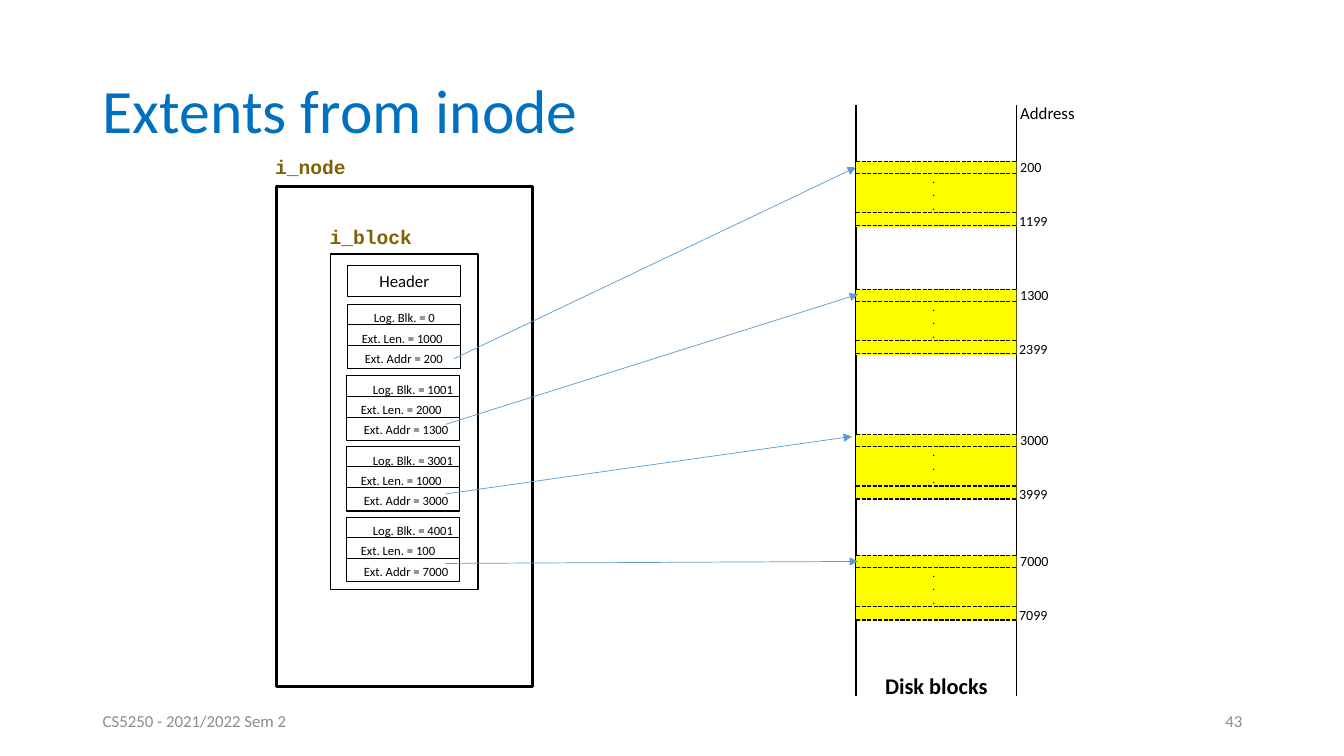
from pptx import Presentation
from pptx.dml.color import RGBColor
from pptx.enum.dml import MSO_LINE
from pptx.enum.shapes import MSO_CONNECTOR, MSO_SHAPE
from pptx.enum.text import MSO_ANCHOR, MSO_AUTO_SIZE, PP_ALIGN
from pptx.oxml.ns import qn
from pptx.util import Inches, Pt
from lxml import etree

STRAIGHT = MSO_CONNECTOR.STRAIGHT
RECTANGLE = MSO_SHAPE.RECTANGLE
DASH = MSO_LINE.SQUARE_DOT
MIDDLE = MSO_ANCHOR.MIDDLE
TOP = MSO_ANCHOR.TOP
GROW = MSO_AUTO_SIZE.SHAPE_TO_FIT_TEXT
FIXED = MSO_AUTO_SIZE.NONE
LEFT, CENTER, RIGHT = PP_ALIGN.LEFT, PP_ALIGN.CENTER, PP_ALIGN.RIGHT

BLACK, WHITE, YELLOW = "000000", "FFFFFF", "FFFF00"
BLUE, GRAY, BROWN, ARROW_BLUE = "0070C0", "8C8C8C", "806000", "5B9BD5"
BODY, CODE = "Calibri", "Courier New"

DISK_LEFT, DISK_RIGHT = 8.49, 10.08

EXTENTS = [
    (3.45, 3.02, 0, 1000, 200),
    (3.44, 3.73, 1001, 2000, 1300),
    (3.44, 4.43, 3001, 1000, 3000),
    (3.44, 5.13, 4001, 100, 7000),
]
FIELDS = [
    ("Log. Blk. = ", 0.16, 0.79),
    ("Ext. Len. = ", 0.04, 0.78),
    ("Ext. Addr = ", 0.07, 0.81),
]
DISK_RUNS = [
    (1.60, 200, 1199),
    (2.87, 1300, 2399),
    (4.31, 3000, 3999),
    (5.51, 7000, 7099),
]
POINTERS = [
    (4.50, 3.56, 8.49, 1.66),
    (4.42, 4.21, 8.51, 2.92),
    (4.42, 4.90, 8.45, 4.33),
    (4.42, 5.59, 8.51, 5.57),
]


def paint(color_format, color):
    color_format.rgb = RGBColor.from_string(color)


def write(frame, lines, size, color=BLACK, font=BODY, bold=False, align=LEFT):
    for index, line in enumerate(lines):
        para = frame.add_paragraph() if index else frame.paragraphs[0]
        para.alignment = align
        span = para.add_run()
        span.text = line
        span.font.size = Pt(size)
        span.font.name = font
        span.font.bold = bold
        paint(span.font.color, color)


def add_label(shapes, left, top, width, height, lines, size, **style):
    box = shapes.add_textbox(Inches(left), Inches(top), Inches(width), Inches(height))
    box.text_frame.word_wrap = False
    box.text_frame.auto_size = GROW
    box.text_frame.vertical_anchor = TOP
    write(box.text_frame, lines, size, **style)


def add_footer(shapes, left, line, align):
    box = shapes.add_textbox(Inches(left), Inches(6.95), Inches(3), Inches(0.4))
    box.text_frame.word_wrap = True
    box.text_frame.vertical_anchor = MIDDLE
    write(box.text_frame, [line], 12, color=GRAY, align=align)


def add_box(shapes, left, top, width, height, fill=WHITE, line_width=None):
    box = shapes.add_shape(RECTANGLE, Inches(left), Inches(top), Inches(width), Inches(height))
    box.shadow.inherit = False
    box.fill.solid()
    paint(box.fill.fore_color, fill)
    if line_width is None:
        box.line.fill.background()
    else:
        box.line.width = Pt(line_width)
        paint(box.line.color, BLACK)
    return box


def add_line(shapes, x1, y1, x2, y2, width, color=BLACK, dash=None):
    line = shapes.add_connector(STRAIGHT, Inches(x1), Inches(y1), Inches(x2), Inches(y2))
    line.line.width = Pt(width)
    paint(line.line.color, color)
    if dash is not None:
        line.line.dash_style = dash
    etree.SubElement(line._element.spPr, qn("a:effectLst"))
    return line


def add_arrow(shapes, x1, y1, x2, y2):
    arrow = add_line(shapes, x1, y1, x2, y2, 0.5, ARROW_BLUE)
    outline = arrow._element.spPr.find(qn("a:ln"))
    etree.SubElement(outline, qn("a:tailEnd")).set("type", "triangle")


def add_extent(page, left, top, *values):
    shapes = page.shapes.add_group_shape().shapes
    add_box(shapes, left, top, 1.12, 0.64, line_width=0.75)
    for offset in (0.2, 0.41):
        add_line(shapes, left, top + offset, left + 1.12, top + offset, 0.5)
    for row, ((name, indent, base), value) in enumerate(zip(FIELDS, values)):
        width = base + 0.06 * len(str(value))
        add_label(shapes, left + indent, top + 0.01 + 0.2 * row, width, 0.25,
                  [f"{name}{value}"], 9)


def add_disk_run(page, top, first, last):
    shapes = page.shapes.add_group_shape().shapes
    add_box(shapes, DISK_LEFT, top, DISK_RIGHT - DISK_LEFT, 0.65, fill=YELLOW)
    for offset in (0, 0.12, 0.51, 0.64):
        add_line(shapes, DISK_LEFT, top + offset, DISK_RIGHT, top + offset, 1, dash=DASH)
    add_label(shapes, 9.15, top + 0.06, 0.23, 0.5, ["."] * 3, 8)
    for left, offset, address in ((10.02, -0.08, first), (10.01, 0.46, last)):
        width = 0.21 + 0.07 * len(str(address))
        add_label(shapes, left, top + offset, width, 0.27, [str(address)], 10)


def add_title(page, line):
    title = page.shapes.title
    title.left, title.top = Inches(0.92), Inches(0.4)
    title.width, title.height = Inches(11.5), Inches(1.45)
    title.text_frame.vertical_anchor = MIDDLE
    title.text_frame.auto_size = FIXED
    write(title.text_frame, [line], 44, color=BLUE)
    title.text_frame.paragraphs[0].line_spacing = 0.9


def add_inode(page):
    shapes = page.shapes
    add_box(shapes, 2.74, 1.85, 2.54, 4.96, line_width=2)
    add_box(shapes, 3.28, 2.52, 1.46, 3.33, line_width=1)
    add_label(shapes, 2.63, 1.49, 0.91, 0.34, ["i_node"], 14,
              color=BROWN, font=CODE, bold=True)
    add_label(shapes, 3.17, 2.18, 1.02, 0.34, ["i_block"], 14,
              color=BROWN, font=CODE, bold=True)
    header = add_box(shapes, 3.45, 2.63, 1.12, 0.31, line_width=0.75)
    header.text_frame.vertical_anchor = MIDDLE
    write(header.text_frame, ["Header"], 12, align=CENTER)
    for extent in EXTENTS:
        add_extent(page, *extent)


def add_disk(page):
    for edge in (DISK_LEFT, DISK_RIGHT):
        add_line(page.shapes, edge, 6.9, edge, 1.04, 1)
    add_label(page.shapes, 8.68, 6.62, 1.23, 0.37, ["Disk blocks"], 16, bold=True)
    add_label(page.shapes, 10.02, 0.97, 0.75, 0.3, ["Address"], 12)
    for disk_run in DISK_RUNS:
        add_disk_run(page, *disk_run)


def main():
    deck = Presentation()
    deck.slide_width, deck.slide_height = Inches(13.33), Inches(7.5)
    page = deck.slides.add_slide(deck.slide_layouts[5])
    add_title(page, "Extents from inode")
    add_footer(page.shapes, 0.92, "CS5250 - 2021/2022 Sem 2", LEFT)
    add_footer(page.shapes, 9.42, "43", RIGHT)
    add_inode(page)
    add_disk(page)
    for pointer in POINTERS:
        add_arrow(page.shapes, *pointer)
    deck.save("out.pptx")


if __name__ == "__main__":
    main()
